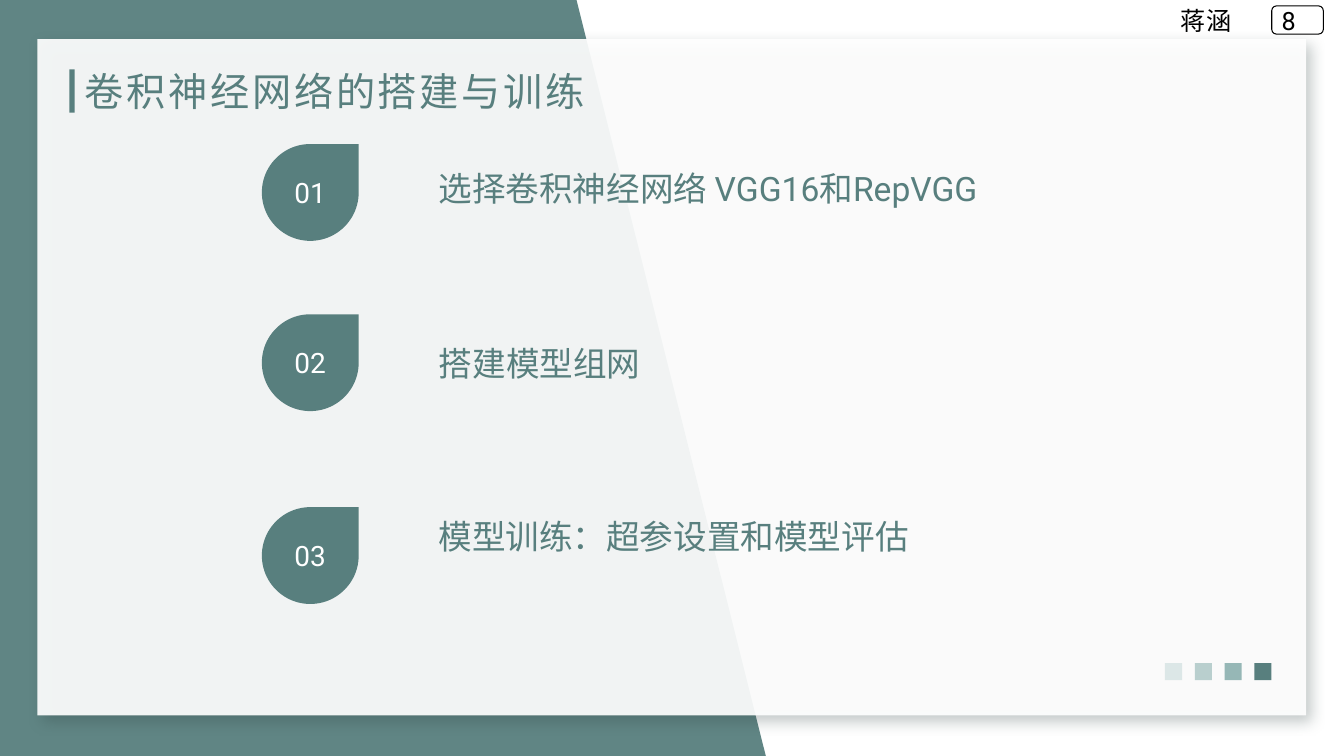
"""Build the slide on setting up and training convolutional networks."""
from lxml import etree
from pptx import Presentation
from pptx import util as u
from pptx.dml.color import RGBColor
from pptx.enum import shapes, text
from pptx.oxml import ns

TEAL = RGBColor(0x58, 0x7F, 0x7E)
TEAL_MID = RGBColor(0x96, 0xB7, 0xB6)
TEAL_LIGHT = RGBColor(0xB9, 0xCF, 0xCE)
TEAL_PALE = RGBColor(0xDC, 0xE7, 0xE7)
SHADOW = RGBColor(0x2C, 0x40, 0x3F)
WHITE = RGBColor(0xFF, 0xFF, 0xFF)
BLACK = RGBColor(0, 0, 0)
SHAPE = shapes.MSO_SHAPE
ALIGN = text.PP_ALIGN
ANCHOR = text.MSO_ANCHOR


class Deck:
    heading, body = "Cabin", "Roboto"

    def __init__(self, width, height):
        self.prs = Presentation()
        self.prs.slide_width, self.prs.slide_height = u.Cm(width), u.Cm(height)
        self.s = self.prs.slides.add_slide(self.prs.slide_layouts[6])

    def paint(self, sp, fill, alpha=100, line=None):
        sp.shadow.inherit = False
        sp.fill.solid()
        sp.fill.fore_color.rgb = fill
        if alpha < 100:
            color = sp._element.spPr.find(".//" + ns.qn("a:srgbClr"))
            etree.SubElement(color, ns.qn("a:alpha")).set("val", str(alpha * 1000))
        if line is None:
            sp.line.fill.background()
        else:
            sp.line.color.rgb = line
            sp.line.width = u.Pt(0.75)
        return sp

    def shape(self, kind, box, fill, alpha=100, line=None):
        sp = self.s.shapes.add_shape(kind, *map(u.Cm, box))
        return self.paint(sp, fill, alpha, line)

    def polygon(self, points, fill, alpha):
        start, *rest = [(u.Cm(x), u.Cm(y)) for x, y in points]
        builder = self.s.shapes.build_freeform(*start)
        builder.add_line_segments(rest, close=True)
        return self.paint(builder.convert_to_shape(), fill, alpha)

    def shadow(self, sp, color, alpha, blur, dist, angle):
        effects = sp._element.spPr.find(ns.qn("a:effectLst"))
        outer = etree.SubElement(
            effects, ns.qn("a:outerShdw"), blurRad=str(u.Pt(blur)),
            dist=str(u.Pt(dist)), dir=str(angle * 60000), algn="tl", rotWithShape="0")
        clr = etree.SubElement(outer, ns.qn("a:srgbClr"), val=str(color))
        etree.SubElement(clr, ns.qn("a:alpha"), val=str(alpha * 1000))

    def fill_text(self, sp, runs, size, color, align=ALIGN.LEFT, anchor=ANCHOR.TOP, spacing=0):
        tf = sp.text_frame
        tf.word_wrap = True
        tf.vertical_anchor = anchor
        p = tf.paragraphs[0]
        p.alignment = align
        p.font.size = u.Pt(size)
        p.font.color.rgb = color
        fonts = {font for _, font in runs}
        if len(fonts) == 1:
            p.font.name = fonts.pop()
        for words, font in runs:
            r = p.add_run()
            r.text = words
            if p.font.name is None:
                r.font.name = font
            if spacing:
                r._r.get_or_add_rPr().set("spc", str(spacing * 100))

    def label(self, box, runs, size, color, inset=True, **style):
        sp = self.s.shapes.add_textbox(*map(u.Cm, box))
        if not inset:
            tf = sp.text_frame
            tf.margin_left = tf.margin_right = tf.margin_top = tf.margin_bottom = 0
        self.fill_text(sp, runs, size, color, **style)

    def drop(self, top, number):
        sp = self.shape(SHAPE.TEAR, (6.6, top, 2.44, 2.44), TEAL)
        self.fill_text(sp, [(number, self.body)], 20, WHITE, ALIGN.CENTER, ANCHOR.MIDDLE)


def main():
    d = Deck(33.87, 19.05)
    d.polygon([(7.72, 0), (33.87, 0), (33.87, 19.05), (7.72, 19.05)], WHITE, 95)
    d.polygon([(0, 0), (14.53, 0), (19.3, 19.05), (0, 19.05)], TEAL, 95)
    card = d.shape(SHAPE.RECTANGLE, (0.94, 0.99, 31.98, 17.04), WHITE, 92)
    d.shadow(card, SHADOW, 30, 10, 6, 45)
    for i, color in enumerate((TEAL_PALE, TEAL_LIGHT, TEAL_MID, TEAL)):
        d.shape(SHAPE.RECTANGLE, (29.36 + 0.75 * i, 16.71, 0.43, 0.43), color)
    d.shape(SHAPE.RECTANGLE, (1.75, 1.75, 0.13, 1.09), TEAL)
    d.shape(SHAPE.ROUNDED_RECTANGLE, (32.05, 0.15, 1.3, 0.71), WHITE, line=BLACK)
    d.label((32.05, 0, 1.3, 1.02), [("8", d.body)], 18, BLACK)
    d.label((1.88, 1.68, 13.36, 1.22), [("卷积神经网络的搭建与训练", d.heading)],
            28, TEAL, anchor=ANCHOR.MIDDLE, spacing=2)

    steps = [
        (3.63, (4.22, 14.63, 2.06), ALIGN.JUSTIFY,
         [("选择卷积神经网络 ", d.heading), ("VGG16和RepVGG", d.body)]),
        (7.92, (8.64, 5.1, 1.02), ALIGN.CENTER, [("搭建模型组网", d.heading)]),
        (12.78, (13, 11.99, 3.07), ALIGN.JUSTIFY,
         [("模型训练：", d.heading), ("超参设置和模型评估", d.body)]),
    ]
    for number, (drop_top, (top, width, height), align, runs) in enumerate(steps, 1):
        d.drop(drop_top, f"{number:02}")
        d.label((11.05, top, width, height), runs, 24, TEAL, inset=False, align=align)
    d.label((29.51, 0, 3.23, 1.02), [("蒋涵", d.body)], 18, BLACK)
    d.prs.save("out.pptx")


if __name__ == "__main__":
    main()
